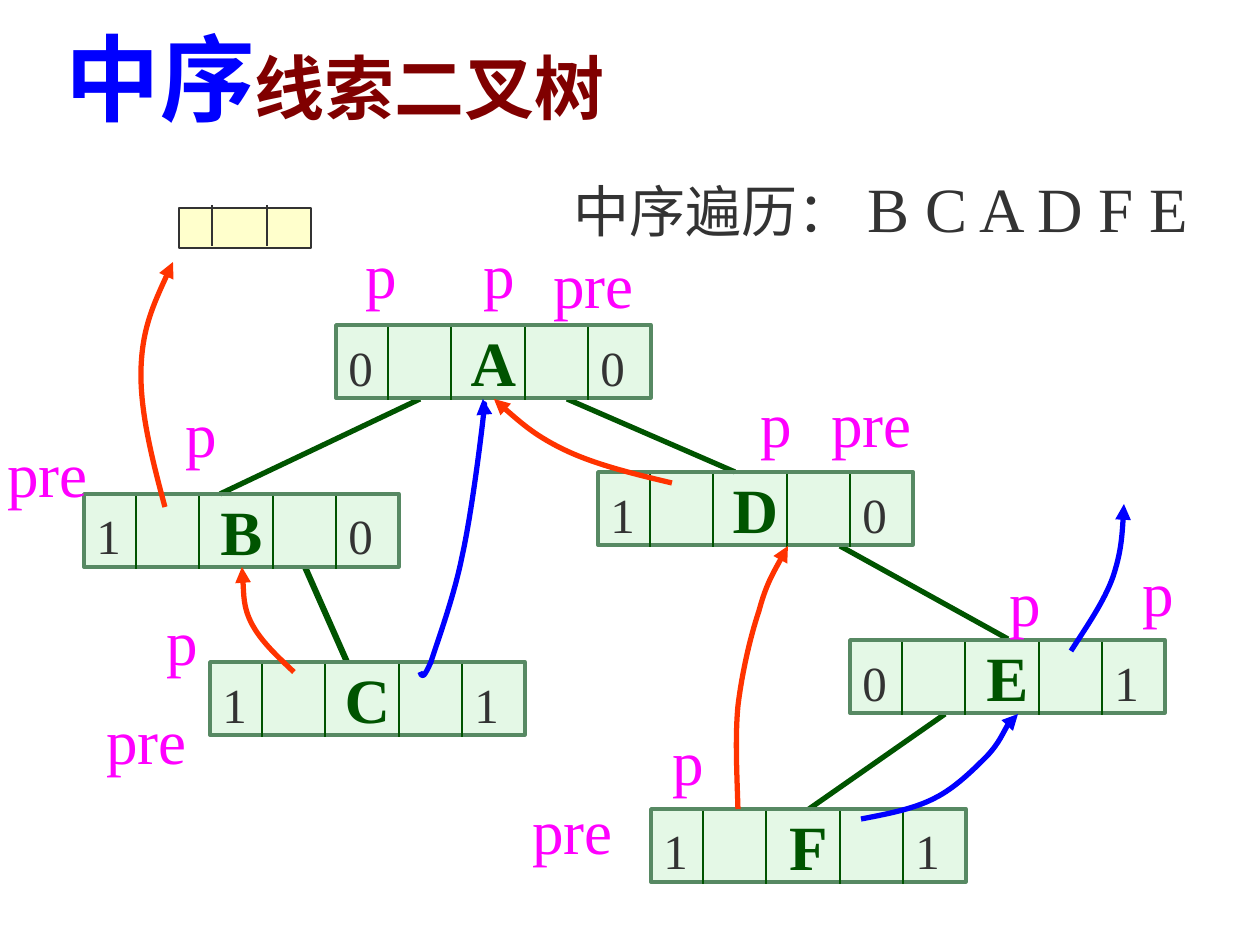
from lxml import etree
from pptx import Presentation
from pptx.dml.color import RGBColor
from pptx.enum.shapes import MSO_CONNECTOR, MSO_SHAPE
from pptx.enum.text import MSO_ANCHOR, MSO_AUTO_SIZE, PP_ALIGN
from pptx.oxml.ns import qn
from pptx.util import Pt

STRAIGHT = MSO_CONNECTOR.STRAIGHT
RECTANGLE = MSO_SHAPE.RECTANGLE
TOP, MIDDLE = MSO_ANCHOR.TOP, MSO_ANCHOR.MIDDLE
LEFT, CENTER = PP_ALIGN.LEFT, PP_ALIGN.CENTER

BLUE = RGBColor(0x00, 0x00, 0xFF)
MAROON = RGBColor(0x80, 0x00, 0x00)
GREY = RGBColor(0x33, 0x33, 0x33)
GREEN = RGBColor(0x00, 0x54, 0x00)
MINT = RGBColor(0xCA, 0xF2, 0xCE)
SAGE = RGBColor(0x57, 0x89, 0x63)
RED = RGBColor(0xFF, 0x33, 0x00)
MAGENTA = RGBColor(0xFF, 0x00, 0xFF)
CREAM = RGBColor(0xFF, 0xFF, 0xCC)
FONT = "Times New Roman"

TITLE = [("中序", 54, BLUE), ("线索二叉树", 40, MAROON)]
TRAVERSAL = [("中序遍历：", 32, GREY), (" B C A D F E", 36, GREY)]

NODE_WIDTH, NODE_HEIGHT = 315, 73
TAG_WIDTH, TAG_HEIGHT = 63, 72
DIVIDERS = (52, 115, 189, 252)
NODES = [
    ("A", 336, 325, "0", "0"),
    ("B", 84, 494, "1", "0"),
    ("D", 598, 472, "1", "0"),
    ("C", 210, 662, "1", "1"),
    ("E", 850, 640, "0", "1"),
    ("F", 651, 809, "1", "1"),
]
EDGES = [
    (420, 399, 220, 494, 3),
    (567, 399, 735, 472, 3),
    (305, 567, 347, 662, 3.5),
    (840, 546, 1008, 639, 3),
    (945, 714, 809, 809, 3),
]
THREADS = [
    (RED, [(294, 672), (277, 656), (261, 641), (252, 624),
           (243, 607), (243, 575), (242, 567)]),
    (RED, [(738, 809), (737, 774), (735, 738), (738, 706), (742, 673),
           (750, 638), (759, 611), (766, 585), (777, 566), (788, 546)]),
    (BLUE, [(861, 819), (887, 814), (914, 809), (935, 798), (955, 788),
            (973, 770), (987, 756), (1000, 742), (1013, 711), (1018, 714)]),
    (RED, [(165, 507), (152, 459), (140, 411), (141, 370),
           (142, 329), (157, 296), (173, 262)]),
    (RED, [(672, 483), (634, 474), (597, 465), (567, 451),
           (537, 437), (515, 418), (494, 399)]),
    (BLUE, [(1071, 651), (1087, 626), (1104, 602), (1113, 577),
            (1121, 553), (1123, 528), (1124, 504)]),
    (BLUE, [(420, 672), (422, 677), (423, 680), (431, 662),
            (437, 643), (454, 597), (462, 557), (471, 517),
            (480, 446), (483, 420), (486, 393), (478, 392), (483, 399)]),
]
POINTERS = [
    ("p", 353, 224), ("p", 173, 383), ("pre", -5, 423), ("p", 154, 591),
    ("p", 471, 224), ("pre", 94, 690), ("p", 748, 373), ("pre", 541, 234),
    ("p", 997, 552), ("pre", 819, 373), ("p", 660, 711), ("p", 1130, 542),
    ("pre", 520, 780),
]
HEAD_BOX = (179, 208, 132, 40)
HEAD_DIVIDERS = (212, 267)


def px(value):
    return round(value * 914400 / 126)


def add_runs(paragraph, runs, bold=False):
    for text, size, color in runs:
        run = paragraph.add_run()
        run.text = text
        run.font.name = FONT
        run.font.size = Pt(size)
        run.font.bold = bold
        run.font.color.rgb = color


def add_text(shapes, box, runs):
    frame = shapes.add_textbox(*map(px, box)).text_frame
    frame.word_wrap = True
    frame.margin_top = px(12)
    add_runs(frame.paragraphs[0], runs)


def add_line(shapes, x1, y1, x2, y2, color, width):
    line = shapes.add_connector(STRAIGHT, px(x1), px(y1), px(x2), px(y2))
    line.line.color.rgb = color
    line.line.width = Pt(width)
    etree.SubElement(line._element.spPr, qn("a:effectLst"))


def add_rectangle(shapes, box, fill, outline, width):
    shape = shapes.add_shape(RECTANGLE, *map(px, box))
    shape.shadow.inherit = False
    shape.fill.solid()
    shape.fill.fore_color.rgb = fill
    shape.line.color.rgb = outline
    shape.line.width = Pt(width)
    return shape


def add_node(shapes, letter, left, top, left_tag, right_tag):
    parts = shapes.add_group_shape().shapes
    box = (left, top, NODE_WIDTH, NODE_HEIGHT)
    cell = add_rectangle(parts, box, MINT, SAGE, 2)
    color = cell._element.spPr.find(qn("a:solidFill"))[0]
    etree.SubElement(color, qn("a:alpha"), val="50000")
    frame = cell.text_frame
    frame.word_wrap = False
    frame.vertical_anchor = MIDDLE
    frame.paragraphs[0].alignment = CENTER
    add_runs(frame.paragraphs[0], [(letter, 36, GREEN)], bold=True)
    for offset in DIVIDERS:
        x = left + offset
        add_line(parts, x, top + 2, x, top + 2 + NODE_HEIGHT, GREEN, 1)
    for offset, tag in ((0, left_tag), (NODE_WIDTH - TAG_WIDTH, right_tag)):
        add_text(parts, (left + offset, top, TAG_WIDTH, TAG_HEIGHT), [(tag, 28, GREY)])


def add_thread(shapes, color, points):
    points = [(px(x), px(y)) for x, y in points]
    builder = shapes.build_freeform(*points[0])
    builder.add_line_segments(points[1:], close=False)
    shape = builder.convert_to_shape()
    shape.shadow.inherit = False
    shape.fill.background()
    shape.line.color.rgb = color
    shape.line.width = Pt(3)
    etree.SubElement(shape.line._get_or_add_ln(), qn("a:tailEnd"), type="triangle")
    outline = shape._element.spPr.find(".//" + qn("a:path"))
    segments = outline.findall(qn("a:lnTo"))
    for start in range(0, len(segments), 3):
        curve = etree.SubElement(outline, qn("a:cubicBezTo"))
        for segment in segments[start:start + 3]:
            curve.append(segment[0])
            outline.remove(segment)


def main():
    presentation = Presentation()
    presentation.slide_width, presentation.slide_height = px(1260), px(945)
    slide = presentation.slides.add_slide(presentation.slide_layouts[5])
    shapes = slide.shapes

    title = shapes.title
    title.left, title.top, title.width, title.height = map(px, (53, -9, 566, 149))
    frame = title.text_frame
    frame.auto_size = MSO_AUTO_SIZE.NONE
    frame.word_wrap = False
    frame.vertical_anchor = TOP
    paragraph = frame.paragraphs[0]
    paragraph.alignment = LEFT
    paragraph.line_spacing = 1.2
    add_runs(paragraph, TITLE, bold=True)

    for *ends, width in EDGES:
        add_line(shapes, *ends, GREEN, width)
    add_text(shapes, (561, 158, 693, 88), TRAVERSAL)
    for node in NODES:
        add_node(shapes, *node)
    for color, points in THREADS:
        add_thread(shapes, color, points)
    for text, left, top in POINTERS:
        add_text(shapes, (left, top, 130, 88), [(text, 36, MAGENTA)])

    add_rectangle(shapes, HEAD_BOX, CREAM, GREY, 1)
    for x in HEAD_DIVIDERS:
        add_line(shapes, x, 205, x, 246, GREY, 1)

    presentation.save("out.pptx")


if __name__ == "__main__":
    main()
